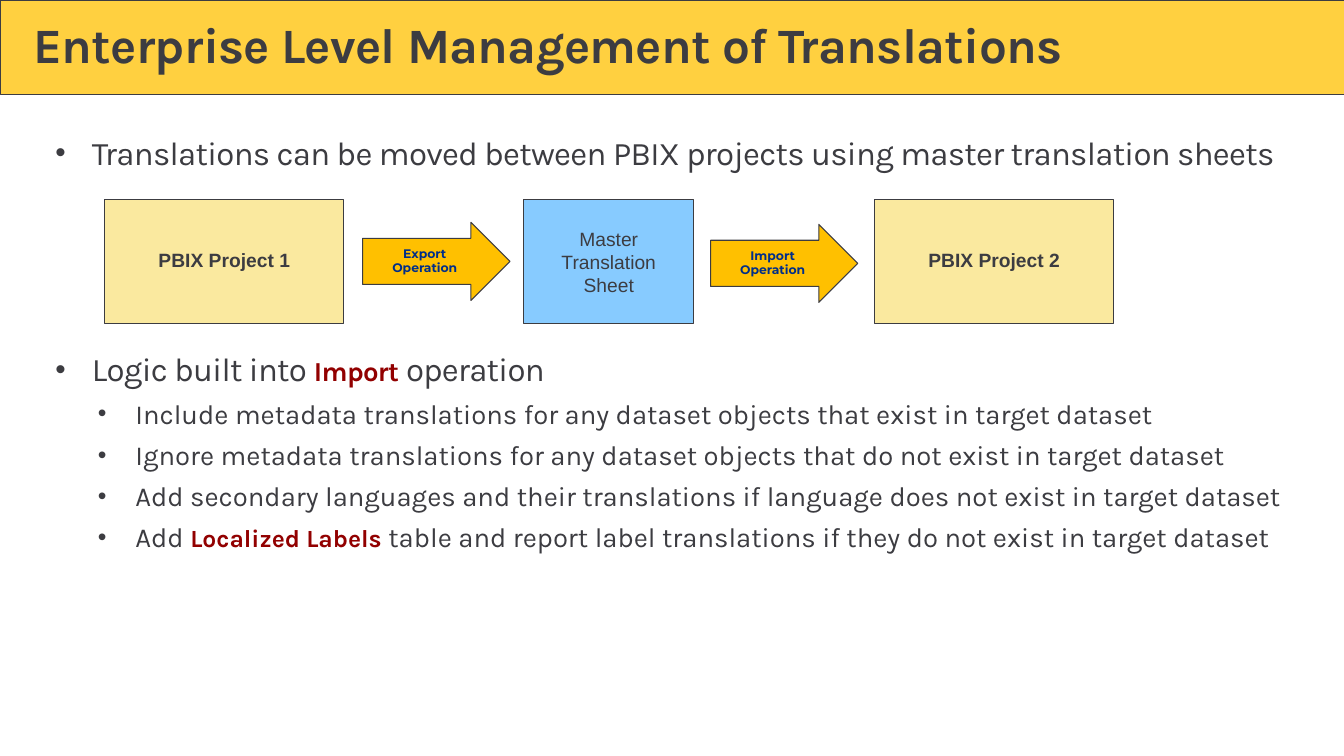
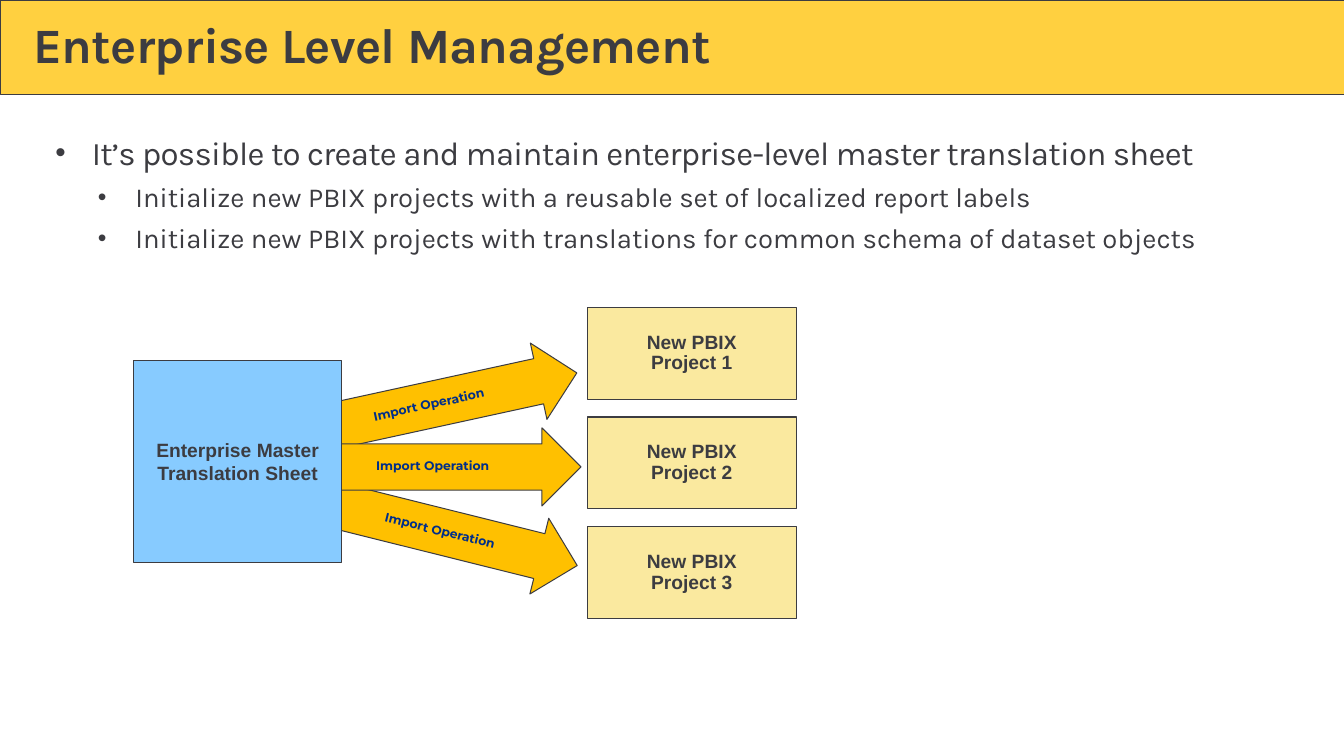
from lxml import etree
from pptx import Presentation
from pptx.dml.color import RGBColor
from pptx.enum import shapes, text
from pptx.oxml.ns import qn
from pptx.util import Inches, Pt

HUES = {"ink": "3C3C41", "band": "FFD040", "cream": "FAE99F", "sky": "87CBFF",
        "gold": "FFC000", "navy": "002E89", "red": "920000"}
RECT = shapes.MSO_SHAPE.RECTANGLE
ARROW = shapes.MSO_SHAPE.RIGHT_ARROW

KINDS = {
    "project": (RECT, "cream", "Arial", 14, "ink", True, 0.9),
    "sheet": (RECT, "sky", "Arial", 14, "ink", False, 1.0),
    "master": (RECT, "sky", "Arial", 14, "ink", True, 1.0),
    "arrow": (ARROW, "gold", "Montserrat", 9, "navy", True, 0.9),
}
LEVELS = [
    {"size": 24, "strong": 20, "left": 0.37, "hang": 0.37, "before": 3, "track": -50},
    {"size": 20, "strong": 18, "left": 0.81, "hang": 0.38, "before": 0, "track": 0},
]
GAP = 123

DECK = [
    {
        "title": "Enterprise Level Management of Translations",
        "list": [
            (0, 3, "Translations can be moved between PBIX projects using master translation sheets"),
            (0, GAP, "Logic built into *Import* operation"),
            (1, 0, "Include metadata translations for any dataset objects that exist in target dataset"),
            (1, 0, "Ignore metadata translations for any dataset objects that do not exist in target dataset"),
            (1, 0, "Add secondary languages and their translations if language does not exist in target dataset"),
            (1, 0, "Add *Localized Labels* table and report label translations if they do not exist in target dataset"),
        ],
        "parts": [
            ("project", 1.06, 2.02, 2.42, 1.25, 0, "PBIX Project 1"),
            ("arrow", 3.67, 2.25, 1.49, 0.79, 0, "Export Operation"),
            ("sheet", 5.3, 2.02, 1.72, 1.25, 0, "Master\nTranslation\nSheet"),
            ("arrow", 7.19, 2.27, 1.49, 0.79, 0, "Import Operation"),
            ("project", 8.85, 2.02, 2.42, 1.25, 0, "PBIX Project 2"),
        ],
    },
    {
        "title": "Enterprise Level Management",
        "list": [
            (0, 3, "It’s possible to create and maintain enterprise-level master translation sheet"),
            (1, 0, "Initialize new PBIX projects with a reusable set of localized report labels"),
            (1, 0, "Initialize new PBIX projects with translations for common schema of dataset objects"),
        ],
        "parts": [
            *[("project", 5.94, 3.11 + 1.11 * i, 2.12, 0.93, 0, f"New PBIX\nProject {i + 1}")
              for i in range(3)],
            ("arrow", 3.04, 3.68, 2.83, 0.79, -12.3, "Import Operation"),
            ("arrow", 3.25, 5.01, 2.63, 0.79, 14, "Import Operation"),
            ("arrow", 3.11, 4.33, 2.77, 0.79, 0, "Import Operation"),
            ("master", 1.35, 3.65, 2.11, 2.04, 0, "Enterprise Master\nTranslation Sheet"),
        ],
    },
]


def style(run, face, size, hue, bold, track=0):
    run.font.name = face
    run.font.size = Pt(size)
    run.font.bold = bold
    run.font.color.rgb = RGBColor.from_string(HUES[hue])
    run.font._element.set("spc", str(track))


def draw(slide, kind, box, fill, width):
    shape = slide.shapes.add_shape(kind, *map(Inches, box))
    shape.shadow.inherit = False
    shape.fill.solid()
    shape.fill.fore_color.rgb = RGBColor.from_string(HUES[fill])
    shape.line.color.rgb = RGBColor.from_string(HUES["ink"])
    shape.line.width = Pt(width)
    return shape


prs = Presentation()
prs.slide_width, prs.slide_height = Inches(13.6), Inches(7.65)
layout = prs.slide_layouts[1]
places = [(0.34, 0.21, 12.91, 0.55), (0.56, 1.34, 12.69, 4.28)]
for holder, box in zip(layout.placeholders, places):
    holder.left, holder.top, holder.width, holder.height = map(Inches, box)

for page in DECK:
    slide = prs.slides.add_slide(layout)
    if page is DECK[0]:
        band = draw(slide, RECT, (0, 0, 13.6, 0.96), "band", 0.5)
        layout.shapes._spTree.insert(2, band._element)

    title, body = slide.shapes.title, slide.placeholders[1]
    for holder in (title, body):
        frame = holder.text_frame
        frame.margin_left = frame.margin_right = frame.margin_top = frame.margin_bottom = 0
        frame.vertical_anchor = text.MSO_ANCHOR.TOP
        frame.auto_size = text.MSO_AUTO_SIZE.NONE
        frame.word_wrap = True

    title.text_frame.text = page["title"]
    head = title.text_frame.paragraphs[0]
    head.alignment = text.PP_ALIGN.LEFT
    head.line_spacing = 0.9
    style(head.runs[0], "Karla", 36, "ink", True, -50)

    body.text_frame.text = "\n".join(words.replace("*", "") for _, _, words in page["list"])
    for para, (level, before, words) in zip(body.text_frame.paragraphs, page["list"]):
        look = LEVELS[level]
        para.level = level
        para.space_before, para.space_after = Pt(before), Pt(6)
        props = para._p.get_or_add_pPr()
        props.set("marL", str(Inches(look["left"])))
        props.set("indent", str(-Inches(look["hang"])))
        for tag, key, value in (("a:buSzPct", "val", "90000"),
                                ("a:buFont", "typeface", "Arial"),
                                ("a:buChar", "char", "•")):
            etree.SubElement(props, qn(tag)).set(key, value)
        bits = words.split("*")
        para.runs[0].text = bits[0]
        for bit in bits[1:]:
            para.add_run().text = bit
        for i, run in enumerate(para.runs):
            strong = i % 2 == 1
            style(run, "Karla", look["strong" if strong else "size"],
                  "red" if strong else "ink", strong, look["track"])

    for name, left, top, width, height, turn, words in page["parts"]:
        kind, fill, face, size, hue, bold, pitch = KINDS[name]
        shape = draw(slide, kind, (left, top, width, height), fill, 0.75)
        shape.rotation = turn
        if kind == ARROW:
            shape.adjustments[0], shape.adjustments[1] = 0.592, 0.5
        frame = shape.text_frame
        frame.word_wrap = True
        frame.vertical_anchor = text.MSO_ANCHOR.MIDDLE
        frame.margin_left = frame.margin_right = Inches(0.2)
        frame.margin_top = frame.margin_bottom = Inches(0.16)
        frame.text = words
        for para in frame.paragraphs:
            para.alignment = text.PP_ALIGN.CENTER
            para.line_spacing = pitch
            style(para.runs[0], face, size, hue, bold)

prs.save("out.pptx")
